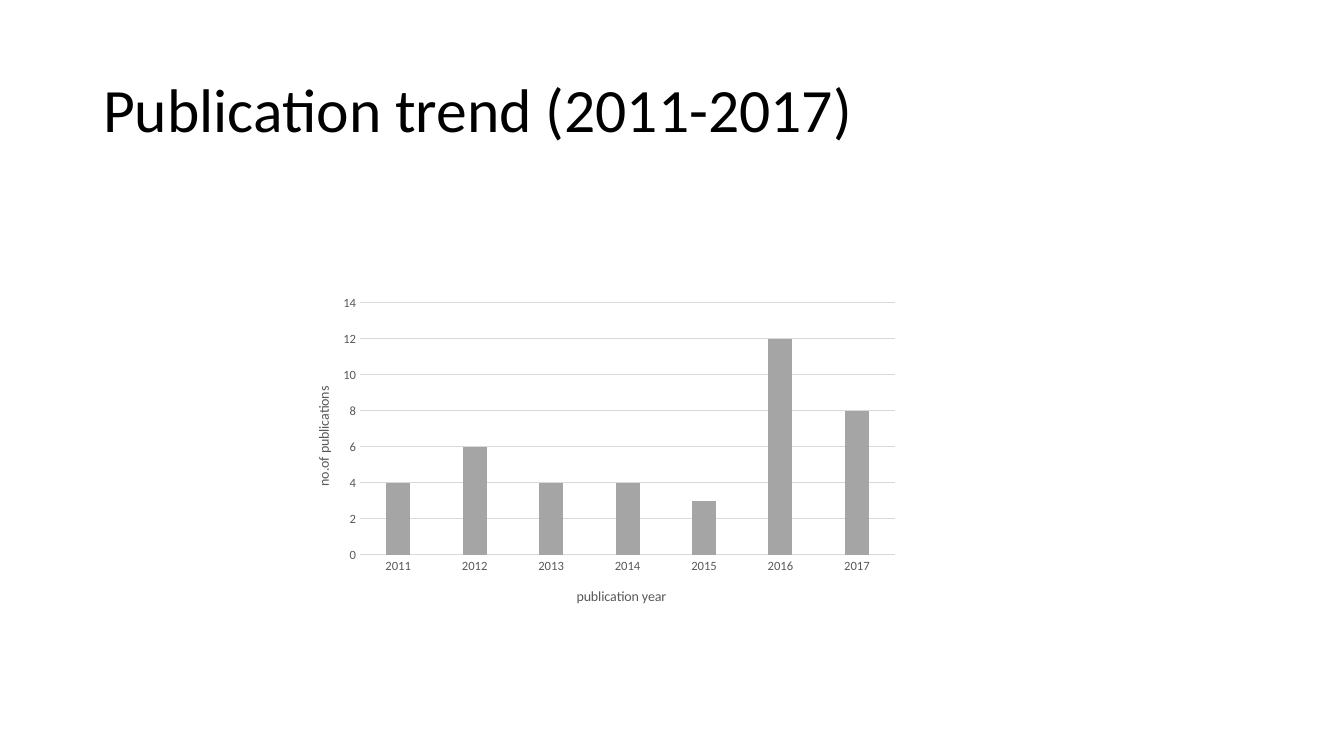
from lxml import etree
from pptx import Presentation
from pptx.chart.data import CategoryChartData
from pptx.dml.color import RGBColor
from pptx.enum.chart import XL_CHART_TYPE, XL_TICK_MARK
from pptx.enum.text import MSO_ANCHOR, PP_ALIGN
from pptx.oxml.ns import qn
from pptx.util import Emu, Inches, Pt

COLUMNS = XL_CHART_TYPE.COLUMN_CLUSTERED
NO_TICKS = XL_TICK_MARK.NONE
MIDDLE = MSO_ANCHOR.MIDDLE
LEFT = PP_ALIGN.LEFT

SCALE = 914400 / 100.8
FONT = "Calibri"
COLORS = {"title": "000000", "label": "595959", "grid": "D9D9D9", "bar": "A5A5A5"}
PUBLICATIONS = {"2011": 4, "2012": 6, "2013": 4, "2014": 4,
                "2015": 3, "2016": 12, "2017": 8}
CHART_BOX = (287, 290, 620, 332)
PLOT_BOX = (360, 303, 535, 252)


def px(length):
    """Turn pixels into EMU."""
    return Emu(round(length * SCALE))


def color(name):
    """Look up a named colour."""
    return RGBColor.from_string(COLORS[name])


def style_font(font, size, color_name):
    """Set the typeface, size and colour of a font."""
    font.name = FONT
    font.size = Pt(size)
    font.bold = False
    font.color.rgb = color(color_name)


def style_line(line):
    """Draw a thin line in the grid colour."""
    line.color.rgb = color("grid")
    line.width = Pt(0.75)


def place_in_chart(element, index, left, top, size=None):
    """Fix a chart part at slide pixels, with an inner size for the plot."""
    layout = element.find(qn("c:layout"))
    if layout is None:
        layout = etree.Element(qn("c:layout"))
        element.insert(index, layout)
    manual = etree.SubElement(layout, qn("c:manualLayout"))
    chart_left, chart_top, chart_width, chart_height = CHART_BOX
    settings = {"xMode": "edge", "yMode": "edge",
                "x": (left - chart_left) / chart_width,
                "y": (top - chart_top) / chart_height}
    if size:
        settings = {"layoutTarget": "inner", **settings,
                    "w": size[0] / chart_width, "h": size[1] / chart_height}
    for tag, value in settings.items():
        etree.SubElement(manual, qn(f"c:{tag}")).set("val", str(value))


def style_axis(axis, caption, left, top, rotation=0):
    """Format the labels of an axis and place its caption."""
    axis.major_tick_mark = axis.minor_tick_mark = NO_TICKS
    style_font(axis.tick_labels.font, 9, "label")
    frame = axis.axis_title.text_frame
    frame.text = caption
    style_font(frame.paragraphs[0].font, 10, "label")
    title = axis.axis_title.element
    body = title.find(".//" + qn("a:bodyPr"))
    body.set("rot", str(rotation * 60000))
    body.set("vert", "horz")
    place_in_chart(title, 1, left, top)


def add_title(slide, text):
    """Fill and format the title placeholder."""
    title = slide.shapes.title
    title.left, title.top, title.width, title.height = map(px, (93, 40, 1159, 146))
    frame = title.text_frame
    frame.text = text
    frame.vertical_anchor = MIDDLE
    paragraph = frame.paragraphs[0]
    paragraph.alignment = LEFT
    paragraph.line_spacing = 0.9
    style_font(paragraph.font, 44, "title")


def add_publication_chart(slide):
    """Add the column chart of publications per year."""
    data = CategoryChartData()
    data.categories = list(PUBLICATIONS)
    data.add_series("Series 1", list(PUBLICATIONS.values()))
    chart = slide.shapes.add_chart(COLUMNS, *map(px, CHART_BOX), data).chart
    chart.has_legend = False
    chart.has_title = False
    style_font(chart.font, 10, "title")

    plot = chart.plots[0]
    plot.gap_width = 219
    plot.overlap = -27
    plot.vary_by_categories = False
    bars = plot.series[0].format.fill
    bars.solid()
    bars.fore_color.rgb = color("bar")

    years, counts = chart.category_axis, chart.value_axis
    style_axis(years, "publication year", 574, 585)
    style_axis(counts, "no.of publications", 312, 384, rotation=-90)
    style_line(years.format.line)
    counts.format.line.fill.background()
    style_line(counts.major_gridlines.format.line)
    counts.minimum_scale, counts.maximum_scale, counts.major_unit = 0, 14, 2

    plot_area = chart.element.find(".//" + qn("c:plotArea"))
    place_in_chart(plot_area, 0, *PLOT_BOX[:2], size=PLOT_BOX[2:])


def main():
    """Build and save the slide."""
    deck = Presentation()
    deck.slide_width, deck.slide_height = Inches(13.33), Inches(7.5)
    slide = deck.slides.add_slide(deck.slide_layouts[5])
    add_title(slide, "Publication trend (2011-2017)")
    add_publication_chart(slide)
    deck.save("out.pptx")


main()
